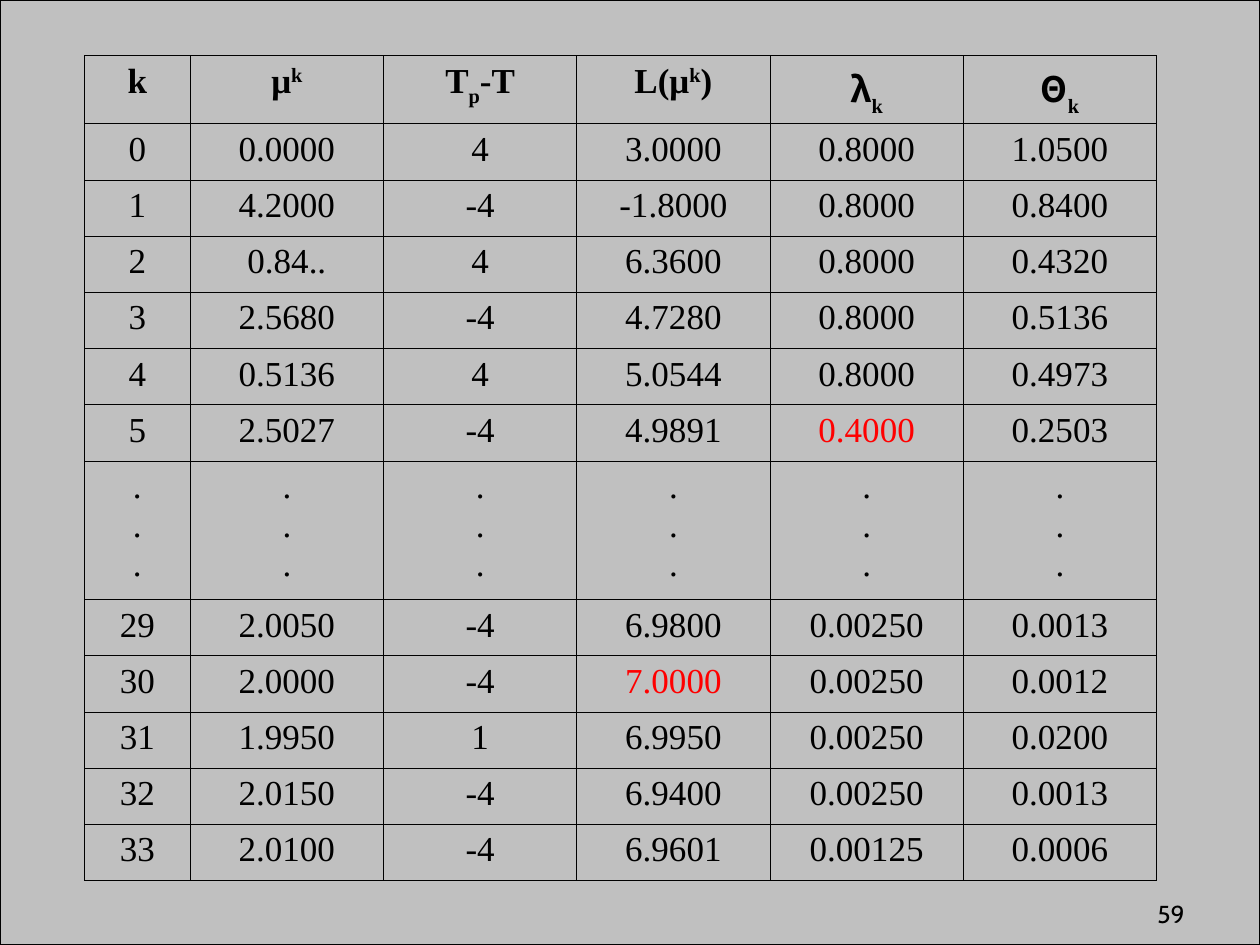
from dataclasses import dataclass

from lxml import etree
from pptx import Presentation
from pptx.dml.color import RGBColor
from pptx.enum.shapes import MSO_SHAPE
from pptx.enum.text import MSO_ANCHOR, PP_ALIGN
from pptx.oxml.ns import qn
from pptx.util import Inches, Pt

RECTANGLE = MSO_SHAPE.RECTANGLE
BOTTOM = MSO_ANCHOR.BOTTOM
CENTER, RIGHT = PP_ALIGN.CENTER, PP_ALIGN.RIGHT


@dataclass(frozen=True)
class Theme:
    """Colours, fonts and sizes of the slide."""
    ground: str = "C0C0C0"
    ink: str = "000000"
    accent: str = "FF0000"
    body: str = "Times New Roman"
    greek: str = "Noto Sans CJK TC"
    number: str = "Cabin"
    table_size: int = 20
    number_size: int = 14
    border: float = 0.45
    frame: float = 0.75


THEME = Theme()
SUPER, SUB = 30000, -30000
HEADER = [
    [("k",)],
    [("μ",), ("k", SUPER)],
    [("T",), ("p", SUB), ("-T",)],
    [("L(μ",), ("k", SUPER), (")",)],
    [("λ", 0, THEME.greek), ("k", SUB)],
    [("Θ", 0, THEME.greek), ("k", SUB)],
]
ELLIPSIS = [".\n.\n."] * len(HEADER)
ROWS = [
    ["0", "0.0000", "4", "3.0000", "0.8000", "1.0500"],
    ["1", "4.2000", "-4", "-1.8000", "0.8000", "0.8400"],
    ["2", "0.84..", "4", "6.3600", "0.8000", "0.4320"],
    ["3", "2.5680", "-4", "4.7280", "0.8000", "0.5136"],
    ["4", "0.5136", "4", "5.0544", "0.8000", "0.4973"],
    ["5", "2.5027", "-4", "4.9891", "0.4000", "0.2503"],
    ELLIPSIS,
    ["29", "2.0050", "-4", "6.9800", "0.00250", "0.0013"],
    ["30", "2.0000", "-4", "7.0000", "0.00250", "0.0012"],
    ["31", "1.9950", "1", "6.9950", "0.00250", "0.0200"],
    ["32", "2.0150", "-4", "6.9400", "0.00250", "0.0013"],
    ["33", "2.0100", "-4", "6.9601", "0.00125", "0.0006"],
]
HIGHLIGHTS = {"0.4000", "7.0000"}
TABLE_BOX = (0.67, 0.44, 8.51, 6.51)
KEY_WIDTH, HEADER_HEIGHT, ELLIPSIS_HEIGHT = 0.84, 0.5, 1.1


def add_run(p, text, baseline=0, font=THEME.body, color=THEME.ink,
            size=THEME.table_size, bold=False):
    """Append a formatted run, raised or lowered by its baseline."""
    r = p.add_run()
    r.text = text
    for name, value in {"name": font, "size": Pt(size), "bold": bold}.items():
        setattr(r.font, name, value)
    r.font.color.rgb = RGBColor.from_string(color)
    if baseline:
        r.font._element.set("baseline", str(baseline))


def add_background(s, width, height):
    """Fill the slide with an outlined ground rectangle."""
    sp = s.shapes.add_shape(RECTANGLE, 0, 0, width, height)
    sp.shadow.inherit = False
    ground = RGBColor.from_string(THEME.ground)
    for fill in (s.background.fill, sp.fill):
        fill.solid()
        fill.fore_color.rgb = ground
    sp.line.color.rgb = RGBColor.from_string(THEME.ink)
    sp.line.width = Pt(THEME.frame)


def style_cell(cell):
    """Give a cell thin borders on all sides and no fill."""
    tc_pr = cell._tc.get_or_add_tcPr()
    for side in ("a:lnL", "a:lnR", "a:lnT", "a:lnB"):
        ln = etree.SubElement(tc_pr, qn(side), w=str(Pt(THEME.border)))
        fill = etree.SubElement(ln, qn("a:solidFill"))
        etree.SubElement(fill, qn("a:srgbClr"), val=THEME.ink)
    cell.fill.background()


def fill_header(cell, runs):
    """Write a bold heading with its indices."""
    p = cell.text_frame.paragraphs[0]
    p.alignment = CENTER
    for run in runs:
        add_run(p, *run, bold=True)


def fill_value(cell, text):
    """Write one centred paragraph per line of text."""
    tf = cell.text_frame
    color = THEME.accent if text in HIGHLIGHTS else THEME.ink
    for i, line in enumerate(text.split("\n")):
        p = tf.add_paragraph() if i else tf.paragraphs[0]
        p.alignment = CENTER
        add_run(p, line, color=color)


def add_iteration_table(s):
    """Add the table of iterations."""
    left, top, width, height = TABLE_BOX
    n_rows, n_cols = len(ROWS) + 1, len(HEADER)
    table = s.shapes.add_table(n_rows, n_cols, *map(Inches, TABLE_BOX)).table
    table.horz_banding = False
    value_width = (width - KEY_WIDTH) / (n_cols - 1)
    row_height = (height - HEADER_HEIGHT - ELLIPSIS_HEIGHT) / (len(ROWS) - 1)
    for i, column in enumerate(table.columns):
        column.width = Inches(value_width if i else KEY_WIDTH)
    table.rows[0].height = Inches(HEADER_HEIGHT)
    for i, runs in enumerate(HEADER):
        fill_header(table.cell(0, i), runs)
    for i, values in enumerate(ROWS, 1):
        table.rows[i].height = Inches(
            ELLIPSIS_HEIGHT if values is ELLIPSIS else row_height)
        for j, text in enumerate(values):
            fill_value(table.cell(i, j), text)
    for cell in table.iter_cells():
        style_cell(cell)


def add_page_number(s, text):
    """Add the page number at the bottom right."""
    box = map(Inches, (7.42, 6.92, 2.08, 0.5))
    tf = s.shapes.add_textbox(*box).text_frame
    tf.word_wrap = True
    tf.vertical_anchor = BOTTOM
    p = tf.paragraphs[0]
    p.alignment = RIGHT
    add_run(p, text, font=THEME.number, size=THEME.number_size)


def main():
    """Build and save the slide."""
    prs = Presentation()
    prs.slide_width, prs.slide_height = Inches(10), Inches(7.5)
    s = prs.slides.add_slide(prs.slide_layouts[6])
    add_background(s, prs.slide_width, prs.slide_height)
    add_iteration_table(s)
    add_page_number(s, "59")
    prs.save("out.pptx")


if __name__ == "__main__":
    main()
